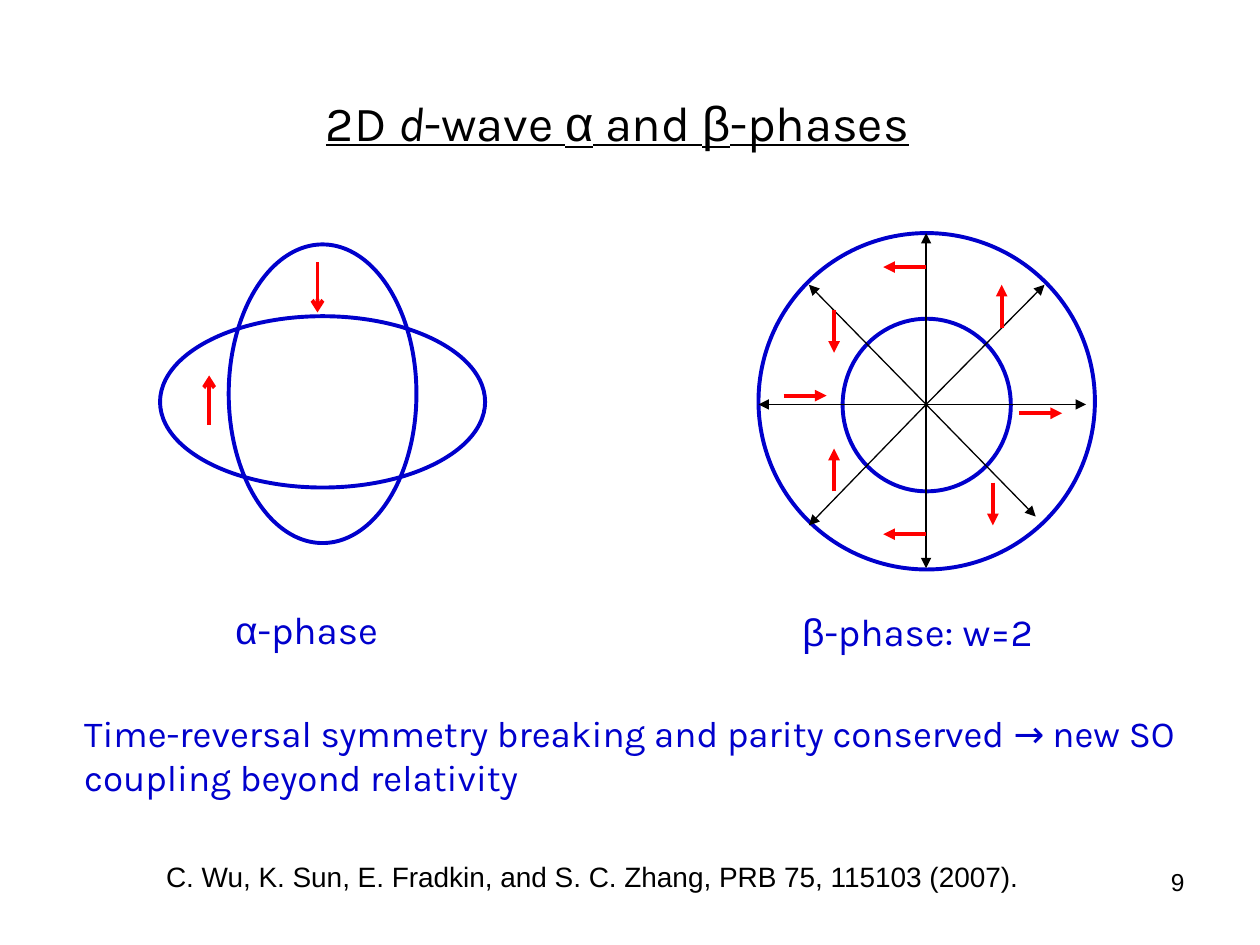
from pptx import Presentation
from pptx import util as u
from pptx.dml import color
from pptx.enum import shapes, text
from pptx.oxml import ns, xmlchemy

COLORS = {"blue": "0000CC", "red": "FF0000", "black": "000000"}
LATIN, GREEK = "Karla", "Arial"


def rgb(name):
    return color.RGBColor.from_string(COLORS[name])


def add_runs(para, spans, size, ink, underline=None):
    """Append (words, font, italic) spans to a paragraph."""
    for words, font, italic in spans:
        span = para.add_run()
        span.text = words
        span.font.name = font
        span.font.size = u.Pt(size)
        span.font.italic = italic
        span.font.underline = underline
        span.font.color.rgb = rgb(ink)


def add_label(page, box, spans, size, ink, align=text.PP_ALIGN.LEFT):
    label = page.shapes.add_textbox(*map(u.Inches, box))
    label.text_frame.word_wrap = True
    para = label.text_frame.paragraphs[0]
    para.alignment = align
    add_runs(para, spans, size, ink)


def add_ellipse(group, left, top, width, height):
    ellipse = group.shapes.add_shape(
        shapes.MSO_SHAPE.OVAL, *map(u.Inches, (left, top, width, height)))
    ellipse.shadow.inherit = False
    ellipse.fill.background()
    ellipse.line.color.rgb = rgb("blue")
    ellipse.line.width = u.Pt(2.25)


def add_arrow(group, start, tip, ink, weight, head="triangle"):
    arrow = group.shapes.add_connector(
        shapes.MSO_CONNECTOR.STRAIGHT, *map(u.Inches, (*start, *tip)))
    arrow.line.color.rgb = rgb(ink)
    arrow.line.width = u.Pt(weight)
    end = xmlchemy.OxmlElement("a:tailEnd")
    end.set("type", head)
    properties = arrow._element.spPr
    properties.find(ns.qn("a:ln")).append(end)
    properties.append(xmlchemy.OxmlElement("a:effectLst"))


def add_title(page, box):
    title = page.shapes.title
    title.left, title.top, title.width, title.height = map(u.Inches, box)
    title.text_frame.vertical_anchor = text.MSO_ANCHOR.MIDDLE
    para = title.text_frame.paragraphs[0]
    para.alignment = text.PP_ALIGN.CENTER
    spans = [("2D ", LATIN, False), ("d", LATIN, True), ("-wave ", LATIN, False),
             ("α", GREEK, False), (" and ", LATIN, False),
             ("β", GREEK, False), ("-phases", LATIN, False)]
    add_runs(para, spans, 28, "black", underline=True)


def add_alpha_phase(page, box):
    """Two crossed ellipses with opposite spins."""
    left, top, width, height = box
    group = page.shapes.add_group_shape()
    add_ellipse(group, left, top + 0.57, width, 1.36)
    add_ellipse(group, left + (width - 1.49) / 2, top, 1.49, height)
    for x, start, tip in ((0.39, 1.43, 1.04), (1.25, 0.14, 0.54)):
        add_arrow(group, (left + x, top + start), (left + x, top + tip),
                  "red", 2.25, "arrow")


def add_beta_phase(page, box):
    """Two concentric circles, eight spokes and the winding spins."""
    left, top, width, height = box
    group = page.shapes.add_group_shape()
    add_ellipse(group, left + width / 4, top + 0.68, width / 2, 1.37)
    add_ellipse(group, left, top, width, height)

    # Spokes: tips relative to the centre
    center_x, center_y = left + 1.33, top + 1.36
    for dx, dy in ((1.27, 0), (0, -1.36), (0, 1.3), (-1.33, 0),
                   (0.94, -0.95), (-0.93, 0.96), (0.87, 0.89), (-0.93, -0.95)):
        add_arrow(group, (center_x, center_y), (center_x + dx, center_y + dy),
                  "black", 0.75)

    # Spins: start point and direction
    length = 0.34
    for x, y, dx, dy in ((0.2, 1.29, 1, 0), (2.07, 1.43, 1, 0),
                         (1.33, 2.39, -1, 0), (1.33, 0.27, -1, 0),
                         (1.93, 0.75, 0, -1), (0.6, 2.05, 0, -1),
                         (0.6, 0.61, 0, 1), (1.86, 1.98, 0, 1)):
        start = (left + x, top + y)
        tip = (start[0] + dx * length, start[1] + dy * length)
        add_arrow(group, start, tip, "red", 2.25)


def main():
    deck = Presentation()
    deck.slide_width, deck.slide_height = u.Inches(10), u.Inches(7.5)
    page = deck.slides.add_slide(deck.slide_layouts[5])

    add_title(page, (0.9, 0.72, 8, 0.5))
    add_alpha_phase(page, (1.27, 1.94, 2.58, 2.37))
    add_beta_phase(page, (6.02, 1.85, 2.67, 2.67))

    # Phase names
    add_label(page, (1.77, 4.76, 1.58, 0.47),
              [("α", GREEK, False), ("-phase", LATIN, False)], 22, "blue")
    add_label(page, (6.27, 4.78, 2.17, 0.47),
              [("β", GREEK, False), ("-phase: w=2", LATIN, False)], 22, "blue")

    # Conclusion, citation and page number
    add_label(page, (0.57, 5.59, 9.13, 0.81),
              [("Time-reversal symmetry breaking and parity conserved → "
                "new SO coupling beyond relativity", LATIN, False)], 21, "blue")
    add_label(page, (1.22, 6.77, 7.29, 0.37),
              [("C. Wu, K. Sun, E. Fradkin, and S. C. Zhang, "
                "PRB 75, 115103 (2007).", "Arial", False)], 16, "black")
    add_label(page, (7.17, 6.83, 2.33, 0.52), [("9", "Arial", False)],
              14, "black", text.PP_ALIGN.RIGHT)

    deck.save("out.pptx")


if __name__ == "__main__":
    main()
